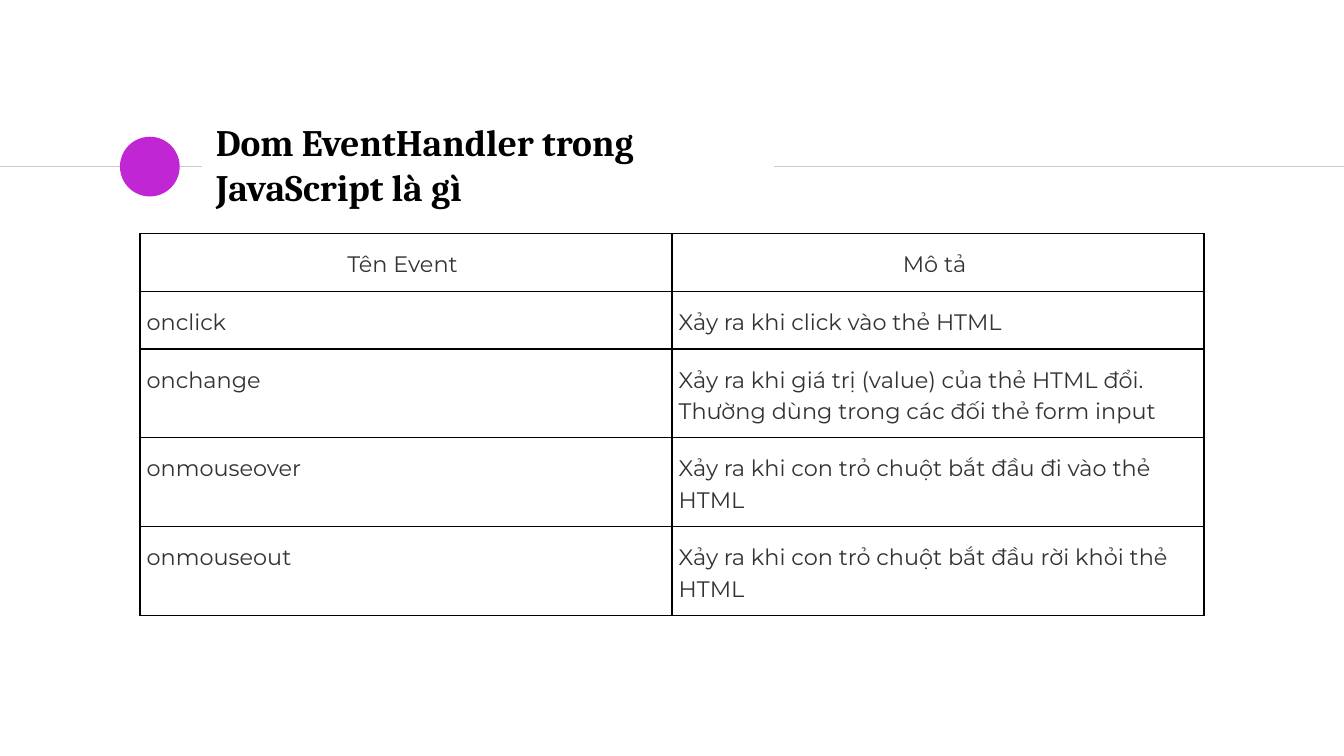
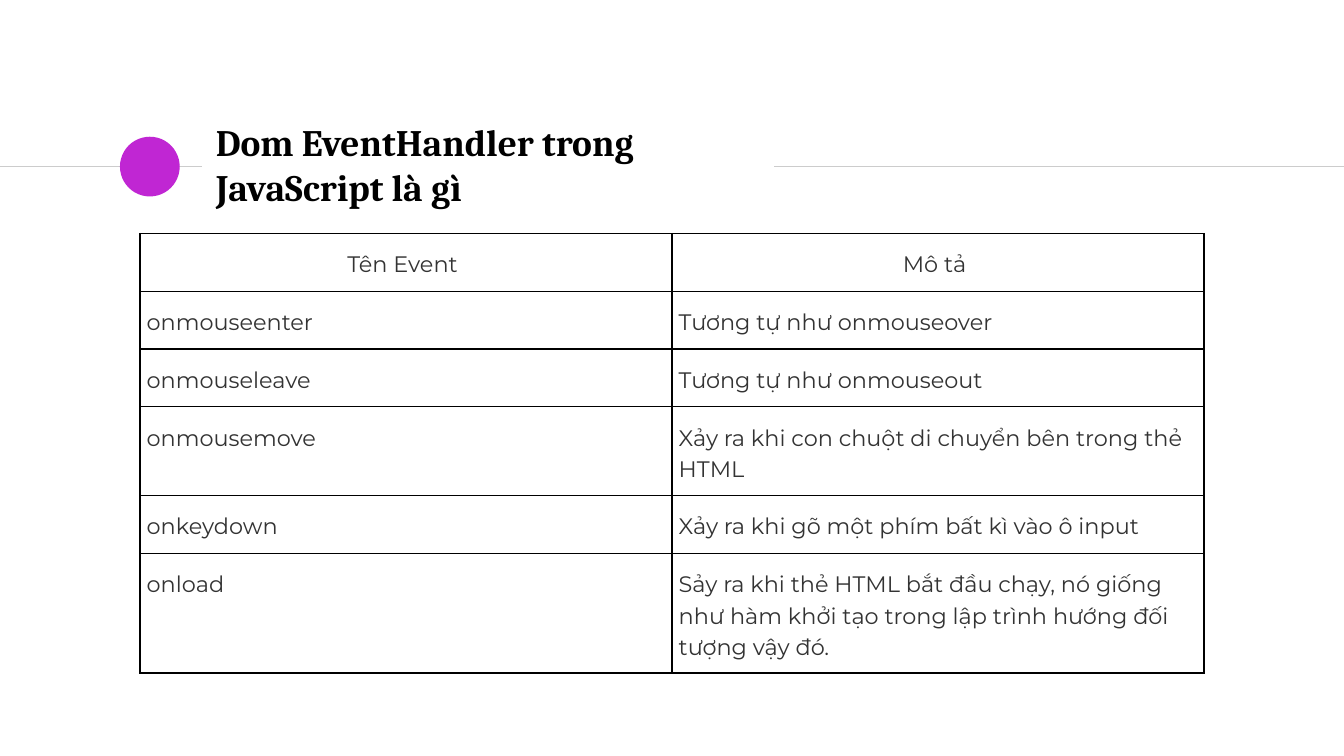
from lxml import etree
from pptx import Presentation
from pptx.dml.color import RGBColor
from pptx.enum import shapes, text
from pptx.oxml import ns
from pptx.util import Pt

TITLE = "Dom EventHandler trong JavaScript là gì"
HEAD = ("Tên Event", "Mô tả")
PAGES = [
    [
        ("onclick", "Xảy ra khi click vào thẻ HTML"),
        ("onchange", "Xảy ra khi giá trị (value) của thẻ HTML đổi. "
                     "Thường dùng trong các đối thẻ form input"),
        ("onmouseover", "Xảy ra khi con trỏ chuột bắt đầu đi vào thẻ HTML"),
        ("onmouseout", "Xảy ra khi con trỏ chuột bắt đầu rời khỏi thẻ HTML"),
    ],
    [
        ("onmouseenter", "Tương tự như onmouseover"),
        ("onmouseleave", "Tương tự như onmouseout"),
        ("onmousemove", "Xảy ra khi con chuột di chuyển bên trong thẻ HTML"),
        ("onkeydown", "Xảy ra khi gõ một phím bất kì vào ô input"),
        ("onload", "Sảy ra khi thẻ HTML bắt đầu chạy, nó giống như hàm khởi tạo "
                   "trong lập trình hướng đối tượng vậy đó."),
    ],
]

COLORS = {"rule": "CCCCCC", "dot": "C026D3", "title": "000000",
          "body": "333333", "border": "000000"}
WIDTH, HEIGHT = 720, 405
RULE_Y = 89.25
RULES = [(0, 108), (414.75, WIDTH)]
DOT_X, DOT = 64.25, 32
TITLE_BOX = (108.5, 70.5, 306.5, 34.5)
TABLE_X, TABLE_Y, COL, ROW = 75, 125, 285, 30.24
LINE, PAD = 0.75, 7.2


def color(name):
    return RGBColor.from_string(COLORS[name])


def write(frame, words, font, size, ink, bold=False, align=text.PP_ALIGN.LEFT,
          gap=1, after=0):
    para = frame.paragraphs[0]
    para.alignment, para.line_spacing, para.space_after = align, gap, Pt(after)
    run = para.add_run()
    run.text = words
    run.font.name, run.font.size, run.font.bold = font, Pt(size), bold
    run.font.color.rgb = color(ink)


def pad(part, left=PAD):
    part.margin_left = Pt(left)
    part.margin_top = part.margin_right = part.margin_bottom = Pt(PAD)


def border(cell):
    props = cell._tc.get_or_add_tcPr()
    for spot, side in enumerate(("lnL", "lnR", "lnT", "lnB")):
        line = etree.Element(ns.qn("a:" + side), w=str(Pt(LINE)))
        fill = etree.SubElement(line, ns.qn("a:solidFill"))
        etree.SubElement(fill, ns.qn("a:srgbClr"), val=COLORS["border"])
        props.insert(spot, line)


def add_header(slide):
    for start, end in RULES:
        rule = slide.shapes.add_connector(
            shapes.MSO_CONNECTOR.STRAIGHT, Pt(start), Pt(RULE_Y), Pt(end), Pt(RULE_Y))
        rule.line.color.rgb = color("rule")
        rule.line.width = Pt(LINE)
        etree.SubElement(rule._element.spPr, ns.qn("a:effectLst"))

    dot = slide.shapes.add_shape(
        shapes.MSO_SHAPE.OVAL, Pt(DOT_X), Pt(RULE_Y - DOT / 2), Pt(DOT), Pt(DOT))
    dot.shadow.inherit = False
    dot.fill.solid()
    dot.fill.fore_color.rgb = color("dot")
    dot.line.fill.background()

    frame = slide.shapes.add_textbox(*map(Pt, TITLE_BOX)).text_frame
    frame.word_wrap = True
    frame.vertical_anchor = text.MSO_ANCHOR.MIDDLE
    pad(frame)
    write(frame, TITLE, "Cambria", 20, "title", bold=True)


def add_events(slide, events):
    rows = [HEAD] + events
    cols = len(HEAD)
    table = slide.shapes.add_table(
        len(rows), cols, Pt(TABLE_X), Pt(TABLE_Y),
        Pt(COL * cols), Pt(ROW * len(rows))).table
    table.first_row = table.horz_banding = False
    for col in table.columns:
        col.width = Pt(COL)
    for r, row in enumerate(rows):
        table.rows[r].height = Pt(ROW)
        align = text.PP_ALIGN.LEFT if r else text.PP_ALIGN.CENTER
        for c, words in enumerate(row):
            cell = table.cell(r, c)
            cell.fill.background()
            border(cell)
            pad(cell, left=PAD / 2)
            write(cell.text_frame, words, "Montserrat", 12, "body",
                  align=align, gap=1.15, after=17)


def main():
    deck = Presentation()
    deck.slide_width, deck.slide_height = Pt(WIDTH), Pt(HEIGHT)
    for events in PAGES:
        slide = deck.slides.add_slide(deck.slide_layouts[6])
        add_header(slide)
        add_events(slide, events)
    deck.save("out.pptx")


if __name__ == "__main__":
    main()
